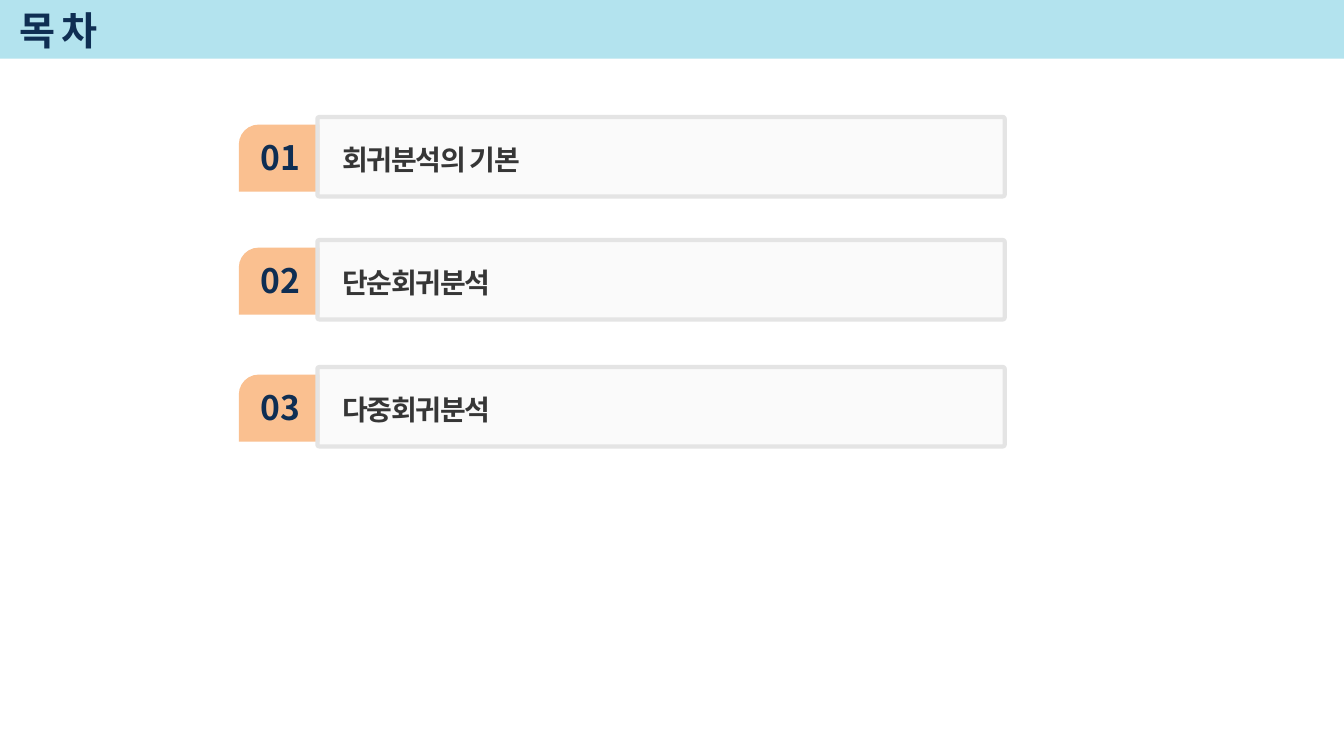
from lxml import etree
from pptx import Presentation
from pptx.dml.color import RGBColor
from pptx.enum import shapes, text
from pptx.oxml.ns import qn
from pptx.util import Cm, Pt

TITLE = "목 차"
SECTIONS = [
    ("01", "회귀분석의 기본", 2.95),
    ("02", "단순회귀분석", 6.05),
    ("03", "다중회귀분석", 9.25),
]
COLORS = {
    "band": "B3E3EE",
    "tab": "FAC090",
    "card": "F2F2F2",
    "border": "E4E4E4",
    "navy": "0F2E53",
    "gray": "363636",
}
FONT = "Noto Sans CJK KR"
SLIDE_WIDTH, SLIDE_HEIGHT = 33.87, 19.05
TAB_LEFT, CARD_LEFT = 6.02, 8.0
TAB_DROP, NUMBER_DROP, LABEL_DROP = 0.19, 0.38, 0.42


def color(name):
    return RGBColor.from_string(COLORS[name])


def add_block(slide, kind, box, fill, adjustments=()):
    shape = slide.shapes.add_shape(kind, *map(Cm, box))
    shape.shadow.inherit = False
    shape.fill.solid()
    shape.fill.fore_color.rgb = color(fill)
    shape.line.fill.background()
    for index, value in enumerate(adjustments):
        shape.adjustments[index] = value
    return shape


def write(shape, content, size, color_name, align, spacing=0):
    paragraph = shape.text_frame.paragraphs[0]
    paragraph.text = content
    paragraph.alignment = align
    font = paragraph.font
    font.name, font.size, font.bold = FONT, Pt(size), True
    font.color.rgb = color(color_name)
    properties = paragraph._p.pPr.find(qn("a:defRPr"))
    properties.set("spc", str(spacing))
    etree.SubElement(properties, qn("a:ea"), typeface=FONT)
    return paragraph


def add_text(slide, box, *style):
    shape = slide.shapes.add_textbox(*map(Cm, box))
    shape.text_frame.word_wrap = True
    return write(shape, *style)


def add_section(slide, number, label, top):
    preset = shapes.MSO_SHAPE
    add_block(slide, preset.SNIP_ROUND_RECTANGLE,
              (TAB_LEFT, top + TAB_DROP, 2.03, 1.69), "tab", (0.296, 0))
    card = add_block(slide, preset.ROUNDED_RECTANGLE,
                     (CARD_LEFT, top, 17.32, 2.0), "card", (0.023,))
    card.line.color.rgb = color("border")
    card.line.width = Pt(3)
    fill_color = card._element.spPr.find(qn("a:solidFill"))[0]
    etree.SubElement(fill_color, qn("a:alpha"), val="33000")
    add_text(slide, (TAB_LEFT + 0.3, top + NUMBER_DROP, 1.5, 1.27),
             number, 24, "navy", text.PP_ALIGN.CENTER)
    paragraph = add_text(slide, (CARD_LEFT + 0.38, top + LABEL_DROP, 13.41, 1.12),
                         label, 20, "gray", text.PP_ALIGN.LEFT, -100)
    paragraph.line_spacing = 1.1
    paragraph.space_after = Pt(3)


def main():
    presentation = Presentation()
    presentation.slide_width = Cm(SLIDE_WIDTH)
    presentation.slide_height = Cm(SLIDE_HEIGHT)
    slide = presentation.slides.add_slide(presentation.slide_layouts[5])

    band = add_block(slide, shapes.MSO_SHAPE.RECTANGLE, (0, 0, SLIDE_WIDTH, 1.48), "band")
    title = slide.shapes.title
    title._element.addprevious(band._element)
    title.left, title.top, title.width, title.height = map(Cm, (0.23, 0.1, 28.83, 1.32))
    title.text_frame.vertical_anchor = text.MSO_ANCHOR.MIDDLE
    title.text_frame.auto_size = text.MSO_AUTO_SIZE.NONE
    write(title, TITLE, 28, "navy", text.PP_ALIGN.LEFT, -100)

    for section in SECTIONS:
        add_section(slide, *section)
    presentation.save("out.pptx")


if __name__ == "__main__":
    main()
